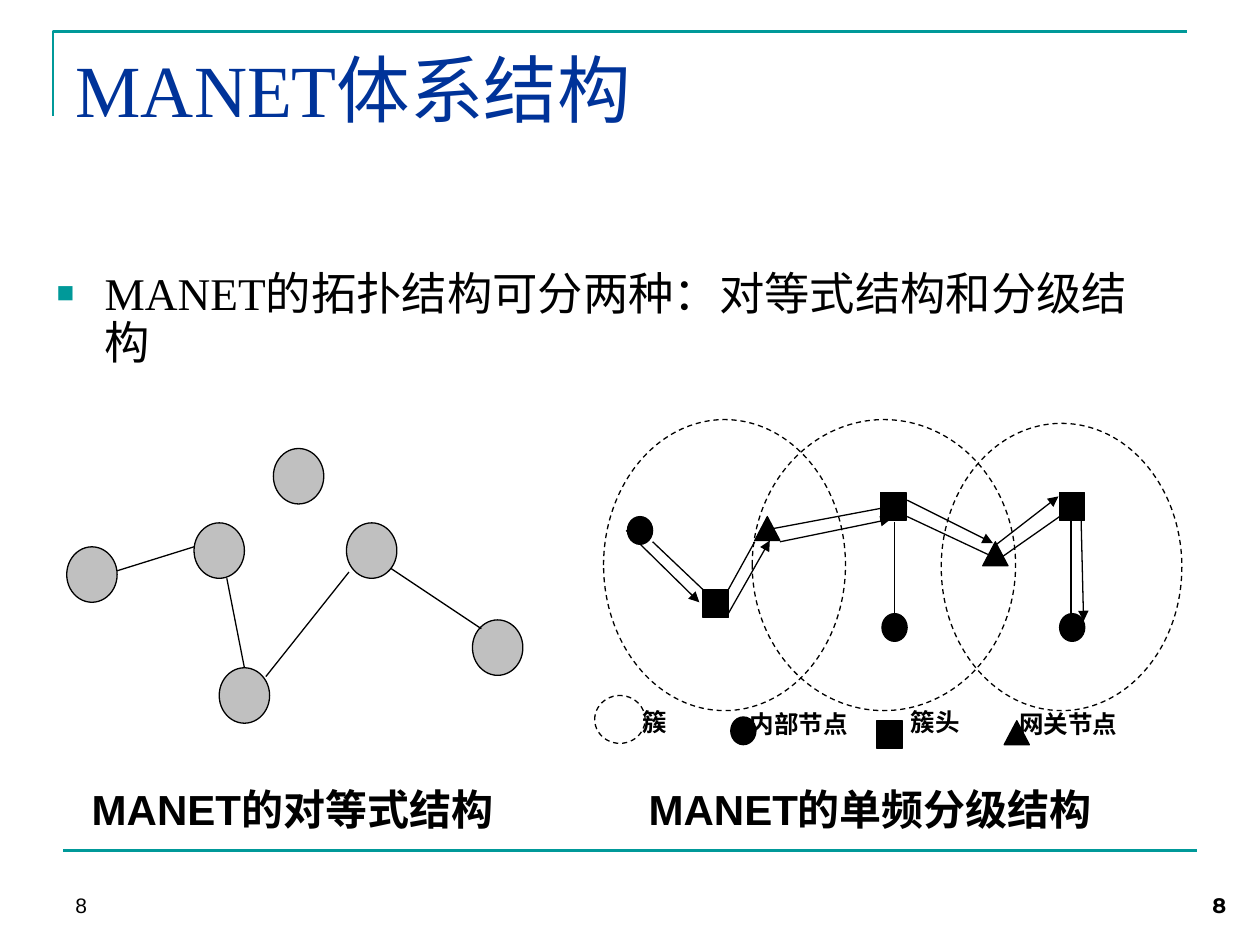
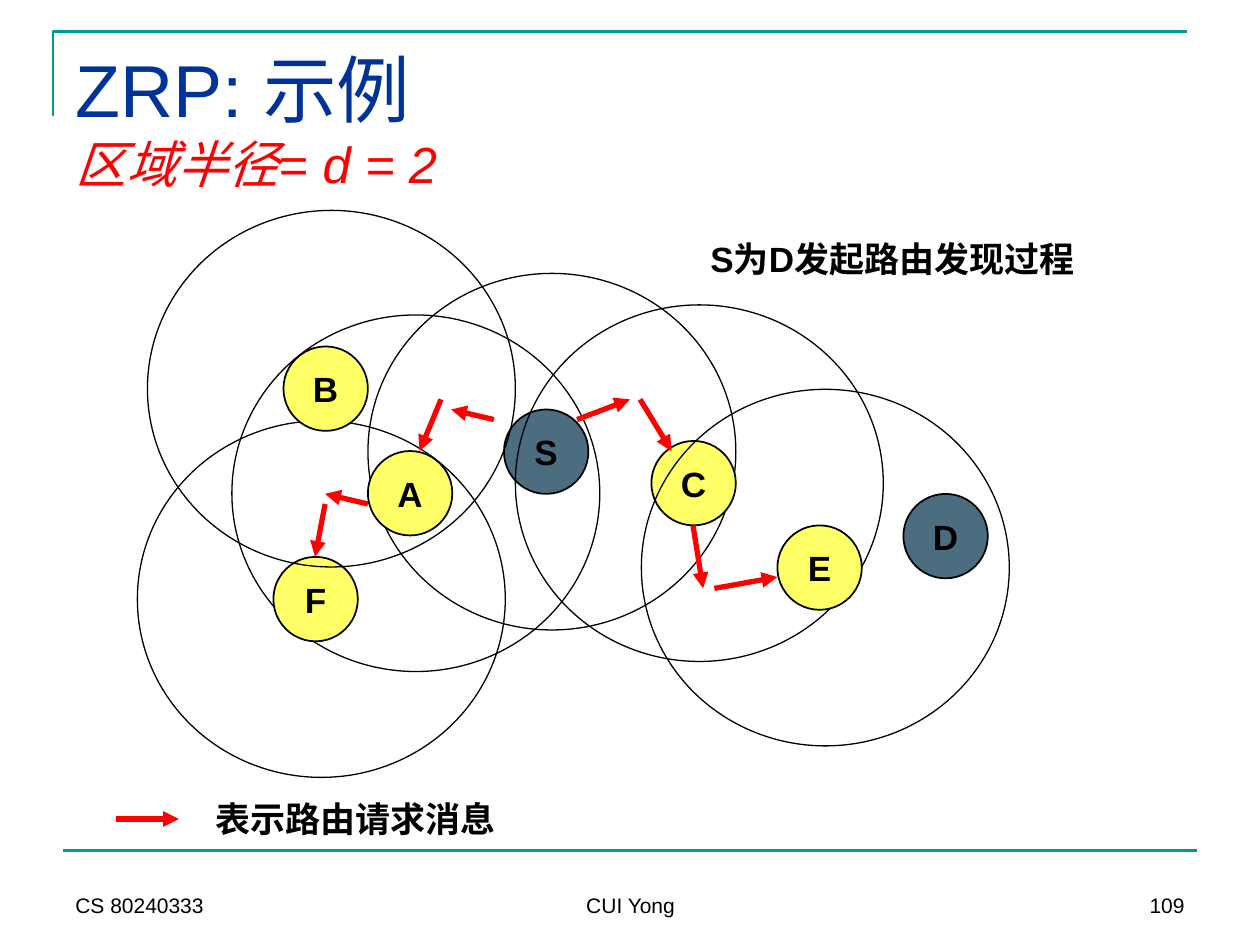
from dataclasses import dataclass

from lxml import etree
from pptx import Presentation
from pptx import util as u
from pptx.dml import color
from pptx.enum import dml, shapes, text
from pptx.oxml import ns

KIND = shapes.MSO_SHAPE
SIDE = text.PP_ALIGN
ANCHOR = text.MSO_ANCHOR


@dataclass(frozen=True)
class Theme:
    sans: str = "Arial"
    serif: str = "Times New Roman"
    bold: str = "Montserrat"
    ink: str = "000000"
    paper: str = "FFFFFF"
    teal: str = "009999"
    navy: str = "003399"
    red: str = "FF0000"
    gray: str = "C0C0C0"
    slate: str = "4C6D80"
    yellow: str = "FFFF66"
    title: float = 42
    sub: float = 29
    body: float = 25.9
    head: float = 24
    label: float = 20
    key: float = 14
    foot: float = 12
    thin: float = 0.75
    rim: float = 1
    rule: float = 1.5
    thick: float = 3


class Deck:
    def __init__(self, theme):
        self.theme = theme
        self.file = Presentation()
        self.file.slide_width = u.Inches(10)
        self.file.slide_height = u.Inches(7.5)
        self.slide = None

    def page(self, layout):
        self.slide = self.file.slides.add_slide(self.file.slide_layouts[layout])
        t = self.theme
        build = self.slide.shapes.build_freeform(u.Inches(0.42), u.Inches(0.92))
        corner = [(u.Inches(x), u.Inches(y)) for x, y in ((0.42, 0.25), (9.42, 0.25))]
        build.add_line_segments(corner, close=False)
        self.paint(build.convert_to_shape(), None, t.teal, t.rule)
        self.line((0.5, 6.75), (9.5, 6.75), t.teal, t.rule)

    def paint(self, shape, fill, edge, width, dash=False):
        shape.shadow.inherit = False
        if fill:
            shape.fill.solid()
            shape.fill.fore_color.rgb = color.RGBColor.from_string(fill)
        else:
            shape.fill.background()
        self.stroke(shape.line, edge, width, dash)

    def stroke(self, line, edge, width, dash=False):
        line.color.rgb = color.RGBColor.from_string(edge)
        line.width = u.Pt(width)
        if dash:
            line.dash_style = dml.MSO_LINE.DASH

    def run(self, para, words, size, tint=None, font=None, bold=False, slant=False):
        run = para.add_run()
        run.text = words
        face = run.font
        face.size = u.Pt(size)
        face.name = font or self.theme.sans
        face.bold = bold
        face.italic = slant
        face.color.rgb = color.RGBColor.from_string(tint or self.theme.ink)

    def frame(self, shape, side, anchor, wrap=True, pad=(0.1, 0.05)):
        frame = shape.text_frame
        frame.auto_size = text.MSO_AUTO_SIZE.NONE
        frame.word_wrap = wrap
        frame.vertical_anchor = anchor
        frame.margin_left = frame.margin_right = u.Inches(pad[0])
        frame.margin_top = frame.margin_bottom = u.Inches(pad[1])
        para = frame.paragraphs[0]
        para.alignment = side
        return para

    def place(self, shape, box):
        shape.left, shape.top, shape.width, shape.height = map(u.Inches, box)

    def title(self, words, font):
        shape = self.slide.shapes.title
        self.place(shape, (0.5, 0.3, 9, 1.25))
        para = self.frame(shape, SIDE.LEFT, ANCHOR.TOP)
        self.run(para, words, self.theme.title, self.theme.navy, font)
        return para

    def list(self, words, box):
        shape = self.slide.placeholders[1]
        self.place(shape, box)
        para = self.frame(shape, SIDE.LEFT, ANCHOR.TOP)
        props = para._p.get_or_add_pPr()
        props.set("marL", str(u.Inches(0.38)))
        props.set("indent", str(-u.Inches(0.38)))
        tint = etree.SubElement(props, ns.qn("a:buClr"))
        etree.SubElement(tint, ns.qn("a:srgbClr"), val=self.theme.teal)
        etree.SubElement(props, ns.qn("a:buSzPct"), val="65000")
        etree.SubElement(props, ns.qn("a:buFont"), typeface=self.theme.sans)
        etree.SubElement(props, ns.qn("a:buChar"), char="■")
        para.line_spacing = 0.9
        para.space_before = u.Pt(0)
        self.run(para, words, self.theme.body, font=self.theme.serif)

    def text(self, words, box, size, side=SIDE.LEFT, anchor=ANCHOR.MIDDLE,
             wrap=True, pad=(0.1, 0.05), font=None, bold=True):
        shape = self.slide.shapes.add_textbox(*map(u.Inches, box))
        para = self.frame(shape, side, anchor, wrap, pad)
        self.run(para, words, size, font=font, bold=bold)

    def foot(self, words, left, width=2.33, side=SIDE.LEFT, font=None, bold=False):
        self.text(words, (left, 6.83, width, 0.5), self.theme.foot, side,
                  ANCHOR.BOTTOM, font=font, bold=bold)

    def shape(self, kind, box, fill=None, width=None, dash=False):
        shape = self.slide.shapes.add_shape(kind, *map(u.Inches, box))
        self.paint(shape, fill, self.theme.ink, width or self.theme.thin, dash)
        return shape

    def node(self, name, left, top, fill):
        shape = self.shape(KIND.OVAL, (left, top, 0.67, 0.67), fill, self.theme.rim)
        para = self.frame(shape, SIDE.CENTER, ANCHOR.MIDDLE, False)
        self.run(para, name, self.theme.label, bold=True)

    def line(self, start, end, tint=None, width=None, arrow=False):
        ends = map(u.Inches, (*start, *end))
        link = self.slide.shapes.add_connector(shapes.MSO_CONNECTOR.STRAIGHT, *ends)
        self.stroke(link.line, tint or self.theme.ink, width or self.theme.thin)
        if arrow:
            etree.SubElement(link.line._get_or_add_ln(), ns.qn("a:tailEnd"), type="triangle")
        etree.SubElement(link._element.spPr, ns.qn("a:effectLst"))

    def signal(self, start, end):
        self.line(start, end, self.theme.red, self.theme.thick, True)


def peers(deck):
    spots = [(0.53, 4.34), (1.54, 4.15), (1.74, 5.3), (2.75, 4.15), (2.17, 3.56), (3.75, 4.92)]
    for left, top in spots:
        deck.shape(KIND.OVAL, (left, top, 0.4, 0.44), deck.theme.gray)
    links = [((0.93, 4.53), (1.54, 4.34)), ((1.8, 4.59), (1.94, 5.3)),
             ((2.11, 5.37), (2.77, 4.54)), ((3.1, 4.51), (3.82, 4.99))]
    for start, end in links:
        deck.line(start, end)


def tiers(deck):
    ink = deck.theme.ink
    marks = {
        KIND.OVAL: (0.22, [(4.98, 4.1), (7, 4.87), (8.41, 4.87), (5.8, 5.69)]),
        KIND.RECTANGLE: (0.22, [(5.58, 4.68), (6.99, 3.91), (8.41, 3.91), (6.96, 5.72)]),
        KIND.ISOSCELES_TRIANGLE: (0.19, [(5.99, 4.1), (7.8, 4.3), (7.97, 5.72)]),
    }
    for kind, (height, spots) in marks.items():
        for left, top in spots:
            deck.shape(kind, (left, top, 0.2, height), ink)
    links = [((5.18, 4.3), (5.58, 4.68)), ((5.99, 4.3), (5.78, 4.68)),
             ((8.5, 4.12), (8.5, 5.08)), ((7.1, 4.14), (7.1, 4.91)),
             ((7.91, 4.45), (8.41, 4.1)), ((7.2, 4.1), (7.84, 4.4)),
             ((6.11, 4.2), (7.07, 4.02))]
    for start, end in links:
        deck.line(start, end)
    zones = [(4.79, 3.33, 1.92, 2.31), (5.97, 3.33, 2.09, 2.31), (7.47, 3.36, 1.91, 2.28)]
    for box in zones:
        deck.shape(KIND.OVAL, box, dash=True)
    hops = [((4.97, 4.21), (5.55, 4.78)), ((5.78, 4.87), (6.11, 4.29)),
            ((6.19, 4.3), (7.07, 4.12)), ((7.2, 3.97), (7.88, 4.31)),
            ((7.91, 4.32), (8.4, 3.94)), ((8.58, 4.11), (8.6, 4.93))]
    for start, end in hops:
        deck.line(start, end, arrow=True)
    deck.shape(KIND.OVAL, (4.72, 5.52, 0.4, 0.38), deck.theme.paper, dash=True)
    keys = [("簇", 5.1, 5.61, 0.4), ("内部节点", 5.95, 5.63, 1.09),
            ("簇头", 7.23, 5.61, 0.52), ("网关节点", 8.09, 5.63, 1.04)]
    for words, left, top, width in keys:
        deck.text(words, (left, top, width, 0.34), deck.theme.key, SIDE.JUSTIFY,
                  ANCHOR.TOP, pad=(0, 0))


def layout(deck):
    t = deck.theme
    deck.page(1)
    deck.title("MANET体系结构", t.serif)
    deck.list("MANET的拓扑结构可分两种：对等式结构和分级结构", (0.35, 2.1, 8.83, 1))
    peers(deck)
    tiers(deck)
    heads = [("MANET的对等式结构", 0.63, 3.54), ("MANET的单频分级结构", 5.05, 3.87)]
    for words, left, width in heads:
        deck.text(words, (left, 6.17, width, 0.5), t.head, wrap=False)
    deck.foot("8", 0.5)
    deck.foot("8", 7.5, side=SIDE.RIGHT, font=t.bold, bold=True)


def zones(deck):
    t = deck.theme
    deck.page(5)
    para = deck.title("ZRP: 示例", t.sans)
    para.add_line_break()
    for words, slant in (("区域半径", True), ("= ", False), ("d = 2", True)):
        deck.run(para, words, t.sub, t.red, slant=slant)
    reach = 1.08
    hubs = [("S", 4, 3.25, t.slate), ("C", 5.17, 3.5, t.yellow), ("A", 2.92, 3.58, t.yellow),
            ("E", 6.17, 4.17, t.yellow), ("F", 2.17, 4.42, t.yellow), ("B", 2.25, 2.75, t.yellow)]
    for name, left, top, fill in hubs:
        deck.shape(KIND.OVAL, (left - reach, top - reach, 2.92, 2.83))
        deck.node(name, left, top, fill)
    deck.node("D", 7.17, 3.92, t.slate)
    hops = [((4.58, 3.33), (5, 3.17)), ((5.08, 3.17), (5.33, 3.58)),
            ((3.92, 3.33), (3.58, 3.25)), ((3.5, 3.17), (3.33, 3.58)),
            ((2.92, 4), (2.58, 3.92)), ((2.58, 4), (2.5, 4.42)),
            ((5.5, 4.17), (5.58, 4.67)), ((5.67, 4.67), (6.17, 4.58)),
            ((0.92, 6.5), (1.42, 6.5))]
    for start, end in hops:
        deck.signal(start, end)
    deck.text("S为D发起路由发现过程", (4.75, 1.83, 4.67, 0.44), t.label, SIDE.CENTER)
    deck.text("表示路由请求消息", (1.61, 6.28, 2.42, 0.44), t.label, wrap=False)
    deck.foot("CS 80240333", 0.5)
    deck.foot("CUI Yong", 3.42, 3.17, SIDE.CENTER)
    deck.foot("109", 7.17, side=SIDE.RIGHT)


def main():
    deck = Deck(Theme())
    layout(deck)
    zones(deck)
    deck.file.save("out.pptx")


if __name__ == "__main__":
    main()
